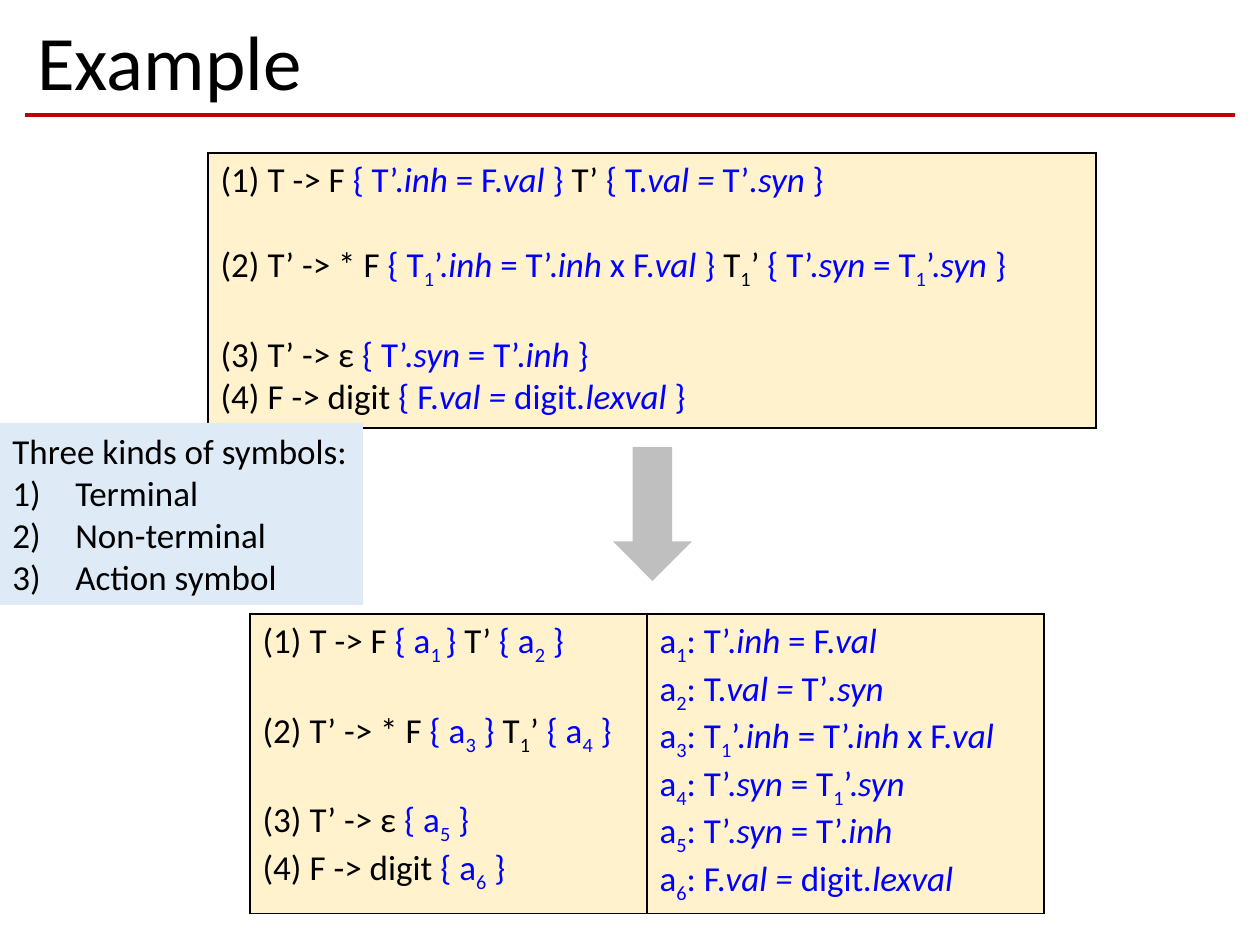
"""Build the slide that shows a translation scheme rewritten with action symbols."""
from dataclasses import dataclass
from itertools import groupby
from typing import Iterator

from lxml.etree import SubElement
from pptx import Presentation
from pptx.dml.color import RGBColor
from pptx.enum.shapes import MSO_CONNECTOR, MSO_SHAPE
from pptx.enum.text import MSO_ANCHOR, PP_ALIGN
from pptx.oxml.ns import qn
from pptx.util import Emu, Pt

BLACK = RGBColor(0x00, 0x00, 0x00)
BLUE = RGBColor(0x00, 0x00, 0xFF)
RED = RGBColor(0xC0, 0x00, 0x00)
GRAY = RGBColor(0xBF, 0xBF, 0xBF)
CREAM = RGBColor(0xFF, 0xF2, 0xCC)
PALE = RGBColor(0xDE, 0xEB, 0xF7)
STRAIGHT = MSO_CONNECTOR.STRAIGHT
RECT = MSO_SHAPE.RECTANGLE
ARROW = MSO_SHAPE.DOWN_ARROW
MIDDLE = MSO_ANCHOR.MIDDLE
LEFT = PP_ALIGN.LEFT
FONT = "Calibri"
SIDES = ("a:lnL", "a:lnR", "a:lnT", "a:lnB")


def px(n: int) -> Emu:
    """Turn pixels into EMU."""
    return Emu(round(n * 914400 / 126))


@dataclass
class Box:
    """Place and size in pixels."""
    x: int
    y: int
    w: int
    h: int

    def emu(self) -> tuple[Emu, ...]:
        """Give the four lengths in EMU."""
        return px(self.x), px(self.y), px(self.w), px(self.h)


@dataclass
class Line:
    """One paragraph: _ toggles italic, ~ toggles subscript, braces are blue."""
    text: str
    num: str = ""
    indent: int = 0
    gap: int = 0
    color: RGBColor = BLACK
    size: int = 20


@dataclass
class Grid:
    """A table of one row, with a list of lines in each cell."""
    box: Box
    cells: list[list[Line]]


def rule(text: str, gap: int = 0) -> Line:
    """Make a numbered grammar rule."""
    return Line(text, "arabicParenBoth", 47, gap)


def kind(text: str) -> Line:
    """Make a numbered kind of symbol."""
    return Line(text, "arabicParenR", 63)


def marks(line: Line) -> Iterator[tuple[str, tuple]]:
    """Pair each letter with its italic, subscript and colour."""
    slant, low, act = False, False, False
    for char in line.text:
        if char == "_":
            slant = not slant
        elif char == "~":
            low = not low
        else:
            act = act or char == "{"
            yield char, (slant, low, BLUE if act else line.color)
            act = act and char != "}"


def write(frame, lines: list[Line]) -> None:
    """Write the lines into a text frame."""
    for i, line in enumerate(lines):
        para = frame.paragraphs[0] if i == 0 else frame.add_paragraph()
        form = {"alignment": LEFT, "space_before": Pt(line.gap)}
        for name, value in form.items():
            setattr(para, name, value)
        if line.num:
            props = para._p.get_or_add_pPr()
            props.set("marL", str(px(line.indent)))
            props.set("indent", str(-px(line.indent)))
            SubElement(props, qn("a:buFont"), typeface="+mj-lt")
            SubElement(props, qn("a:buAutoNum"), type=line.num)
        for (slant, low, color), part in groupby(marks(line), lambda m: m[1]):
            run = para.add_run()
            run.text = "".join(char for char, _ in part)
            form = {"name": FONT, "size": Pt(line.size), "italic": slant}
            for name, value in form.items():
                setattr(run.font, name, value)
            run.font.color.rgb = color
            if low:
                run._r.get_or_add_rPr().set("baseline", "-25000")


def add_grid(slide, grid: Grid) -> None:
    """Draw a bordered table."""
    table = slide.shapes.add_table(1, len(grid.cells), *grid.box.emu()).table
    for name in ("first_row", "horz_banding"):
        setattr(table, name, False)
    for cell, lines in zip(table.rows[0].cells, grid.cells):
        props = cell._tc.get_or_add_tcPr()
        for side in SIDES:
            edge = SubElement(props, qn(side), w=str(Pt(1)))
            fill = SubElement(edge, qn("a:solidFill"))
            SubElement(fill, qn("a:srgbClr"), val=str(BLACK))
        cell.fill.solid()
        cell.fill.fore_color.rgb = CREAM
        write(cell.text_frame, lines)


def add_block(slide, shape: MSO_SHAPE, box: Box, color: RGBColor):
    """Draw a plain filled shape."""
    block = slide.shapes.add_shape(shape, *box.emu())
    block.shadow.inherit = False
    block.fill.solid()
    block.fill.fore_color.rgb = color
    block.line.fill.background()
    return block


def add_title(slide, text: str) -> None:
    """Draw the title and the red line below it."""
    frame = slide.shapes.add_textbox(*Box(25, 16, 1211, 100).emu()).text_frame
    form = {"word_wrap": True, "vertical_anchor": MIDDLE}
    for name, value in form.items():
        setattr(frame, name, value)
    write(frame, [Line(text, size=44)])
    frame.paragraphs[0].line_spacing = 0.9
    bar = slide.shapes.add_connector(STRAIGHT, px(25), px(115), px(1235), px(115))
    bar.line.color.rgb = RED
    bar.line.width = Pt(2.5)
    SubElement(bar._element.spPr, qn("a:effectLst"))


SCHEME = Grid(Box(208, 153, 888, 275), [[
    rule("T -> F { T’._inh_ = F._val _} T’ { T._val = _T’_.syn _}"),
    rule("T’ -> * F { T~1~’._inh_ = T’._inh_ x F._val _} T~1~’ "
         "{ T’._syn_ = T~1~’._syn _}", 24),
    rule("T’ -> ε { T’._syn_ = T’._inh _}", 24),
    rule("F -> digit { F._val = _digit_.lexval _}"),
]])
ACTIONS = (
    "T’._inh_ = F._val_",
    "T._val = _T’_.syn_",
    "T~1~’._inh_ = T’._inh_ x F._val_",
    "T’._syn_ = T~1~’._syn_",
    "T’._syn_ = T’._inh_",
    "F._val = _digit_.lexval_",
)
SYMBOLS = Grid(Box(250, 614, 794, 299), [
    [
        rule("T -> F { a~1 ~} T’ { a~2~ }"),
        rule("T’ -> * F { a~3~ } T~1~’ { a~4~ }", 24),
        rule("T’ -> ε { a~5~ }", 24),
        rule("F -> digit { a~6~ }"),
    ],
    [Line(f"a~{i}~: {act}", color=BLUE) for i, act in enumerate(ACTIONS, 1)],
])
KINDS = [Line("Three kinds of symbols:"),
         *map(kind, ("Terminal", "Non-terminal", "Action symbol"))]


def main() -> None:
    """Build and save the slide."""
    deck = Presentation()
    deck.slide_width, deck.slide_height = px(1260), px(945)
    slide = deck.slides.add_slide(deck.slide_layouts[6])
    add_title(slide, "Example")
    for grid in (SCHEME, SYMBOLS):
        add_grid(slide, grid)
    add_block(slide, ARROW, Box(613, 447, 79, 134), GRAY)
    note = add_block(slide, RECT, Box(0, 423, 363, 182), PALE).text_frame
    form = {"word_wrap": False, "vertical_anchor": MSO_ANCHOR.TOP}
    for name, value in form.items():
        setattr(note, name, value)
    write(note, KINDS)
    deck.save("out.pptx")


if __name__ == "__main__":
    main()
